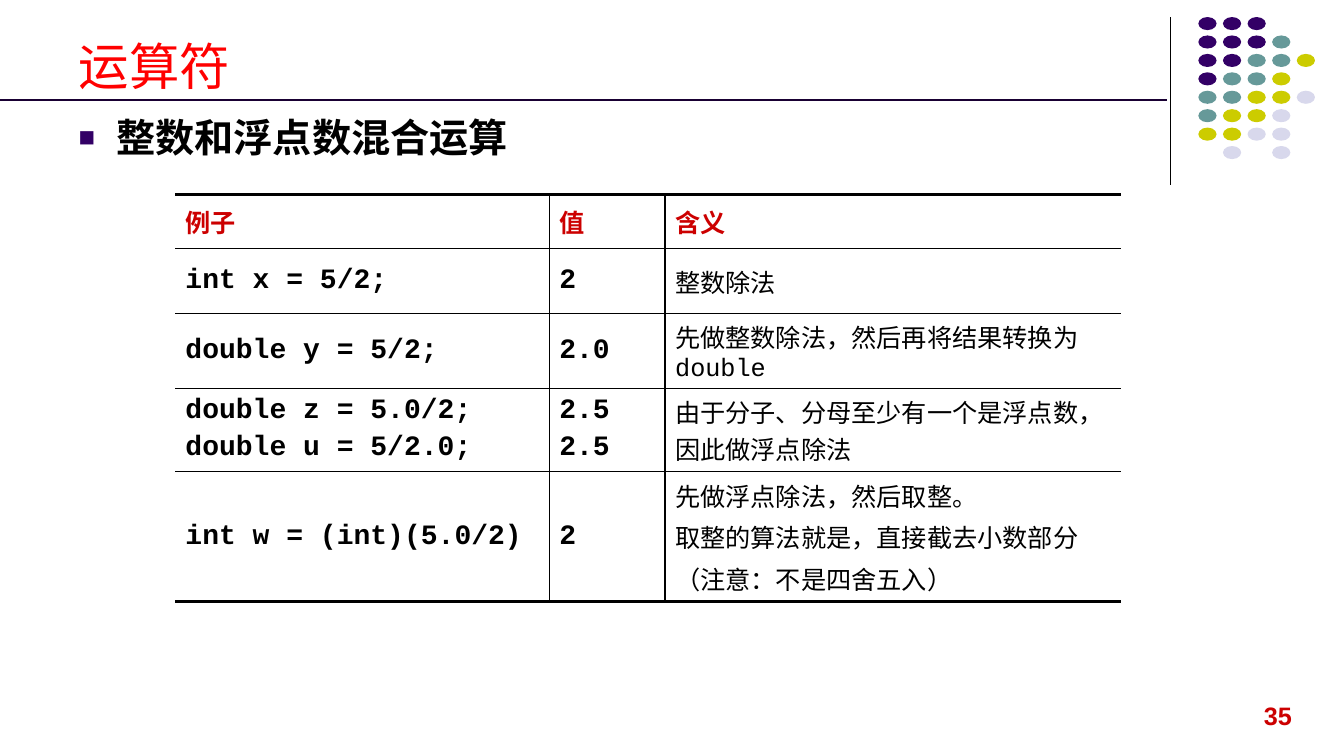
from dataclasses import dataclass

from lxml import etree
from pptx import Presentation
from pptx.dml.color import RGBColor
from pptx.enum.shapes import MSO_CONNECTOR as Connector, MSO_SHAPE as Shape
from pptx.enum.text import MSO_ANCHOR as Anchor, MSO_AUTO_SIZE as AutoSize, PP_ALIGN as Align
from pptx.oxml.ns import qn
from pptx.util import Cm, Pt


@dataclass(frozen=True)
class Theme:
    title: str = "FF0000"
    accent: str = "CC0000"
    ink: str = "000000"
    rule: str = "190033"
    purple: str = "330066"
    teal: str = "669999"
    olive: str = "CCCC00"
    lilac: str = "D8D8EC"
    title_size: int = 36
    body_size: int = 28
    code_size: int = 20
    small_size: int = 18
    title_font: str = "Roboto"
    cjk_font: str = "Noto Sans CJK SC"
    code_font: str = "Courier New"
    number_font: str = "Arial"


THEME = Theme()
DOT_ROWS = ("PPP", "PPPT", "PPTTY", "PTTY", "TTYYL", "TYYL", "YYLL", " L L")
DOT_COLOURS = {"P": THEME.purple, "T": THEME.teal, "Y": THEME.olive, "L": THEME.lilac}
COLUMN_WIDTHS = (9.42, 2.92, 11.5)
ROW_HEIGHTS = (1.37, 1.63, 1.88, 2.1, 3.28)
EXAMPLES = (
    ("例子", "值", "含义"),
    ("int x = 5/2;", "2", "整数除法"),
    ("double y = 5/2;", "2.0", "先做整数除法，然后再将结果转换为double"),
    ("double z = 5.0/2;\ndouble u = 5/2.0;", "2.5\n2.5",
     "由于分子、分母至少有一个是浮点数，因此做浮点除法"),
    ("int w = (int)(5.0/2)", "2",
     "先做浮点除法，然后取整。\n取整的算法就是，直接截去小数部分\n（注意：不是四舍五入）"),
)


def place(shape, left, top, width, height):
    shape.left, shape.top = Cm(left), Cm(top)
    shape.width, shape.height = Cm(width), Cm(height)


def write(frame, text, font, size, colour, bold=False):
    frame.text = text
    for index, para in enumerate(frame.paragraphs):
        para.alignment = Align.LEFT
        para.space_before = Pt(0.2 * size if index else 0)
        for span in para.runs:
            span.font.name = font
            span.font.size = Pt(size)
            span.font.bold = bold
            span.font.color.rgb = RGBColor.from_string(colour)
            east_asian = etree.SubElement(span.font._element, qn("a:ea"))
            east_asian.set("typeface", THEME.cjk_font)


def add_bullet(para, indent):
    props = para._p.get_or_add_pPr()
    props.set("marL", str(indent))
    props.set("indent", str(-indent))
    colour = etree.SubElement(props, qn("a:buClr"))
    etree.SubElement(colour, qn("a:srgbClr")).set("val", THEME.purple)
    etree.SubElement(props, qn("a:buSzPct")).set("val", "70000")
    etree.SubElement(props, qn("a:buFont")).set("typeface", THEME.number_font)
    etree.SubElement(props, qn("a:buChar")).set("char", "■")


def add_rule(page, start, end, colour, weight):
    rule = page.shapes.add_connector(Connector.STRAIGHT, *map(Cm, start + end))
    rule.line.color.rgb = RGBColor.from_string(colour)
    rule.line.width = Pt(weight)
    etree.SubElement(rule._element.spPr, qn("a:effectLst"))


def add_dots(page):
    for row, pattern in enumerate(DOT_ROWS):
        for column, key in enumerate(pattern):
            if key == " ":
                continue
            dot = page.shapes.add_shape(
                Shape.OVAL, Cm(30.2 + 0.62 * column), Cm(0.43 + 3.25 / 7 * row),
                Cm(0.46), Cm(0.33))
            dot.shadow.inherit = False
            dot.fill.solid()
            dot.fill.fore_color.rgb = RGBColor.from_string(DOT_COLOURS[key])
            dot.line.fill.background()


def set_borders(cell, **weights):
    props = cell._tc.get_or_add_tcPr()
    for side in "LRTB":
        line = etree.SubElement(props, qn(f"a:ln{side}"))
        weight = weights[side]
        line.set("w", str(Pt(weight)))
        if weight:
            fill = etree.SubElement(line, qn("a:solidFill"))
            etree.SubElement(fill, qn("a:srgbClr")).set("val", THEME.ink)
        else:
            etree.SubElement(line, qn("a:noFill"))


def add_examples(page):
    frame = page.shapes.add_table(
        len(EXAMPLES), len(COLUMN_WIDTHS), Cm(4.42), Cm(4.9),
        Cm(sum(COLUMN_WIDTHS)), Cm(sum(ROW_HEIGHTS)))
    table = frame.table
    table.horz_banding = False
    for column, width in zip(table.columns, COLUMN_WIDTHS):
        column.width = Cm(width)
    last_row, last_column = len(EXAMPLES) - 1, len(COLUMN_WIDTHS) - 1
    for r, texts in enumerate(EXAMPLES):
        table.rows[r].height = Cm(ROW_HEIGHTS[r])
        for c, text in enumerate(texts):
            cell = table.cell(r, c)
            set_borders(cell, L=1 if c else 0, R=1 if c < last_column else 0,
                        T=1 if r else 2.25, B=1 if r < last_row else 2.25)
            cell.fill.background()
            cell.vertical_anchor = Anchor.MIDDLE
            is_header, is_meaning = r == 0, c == last_column
            size = THEME.small_size if is_header or is_meaning else THEME.code_size
            write(cell.text_frame, text, THEME.code_font, size,
                  THEME.accent if is_header else THEME.ink, is_header or not is_meaning)


def add_title(page):
    title = page.shapes.title
    place(title, 1.73, 0.53, 27.94, 2.01)
    frame = title.text_frame
    write(frame, "运算符", THEME.title_font, THEME.title_size, THEME.title)
    frame.vertical_anchor = Anchor.BOTTOM
    frame.auto_size = AutoSize.NONE


def add_body(page):
    body = page.placeholders[1]
    place(body, 1.73, 2.72, 30.48, 2.18)
    frame = body.text_frame
    write(frame, "整数和浮点数混合运算", THEME.cjk_font, THEME.body_size, THEME.ink, True)
    add_bullet(frame.paragraphs[0], Cm(0.95))
    frame.auto_size = AutoSize.NONE


def add_page_number(page):
    box = page.shapes.add_textbox(Cm(31.6), Cm(17.53), Cm(1.3), Cm(1.02))
    box.text_frame.word_wrap = False
    write(box.text_frame, "35", THEME.number_font, THEME.small_size, THEME.accent, True)


def main():
    deck = Presentation()
    deck.slide_width, deck.slide_height = Cm(33.87), Cm(19.05)
    page = deck.slides.add_slide(deck.slide_layouts[1])
    add_rule(page, (29.49, 0.43), (29.49, 4.65), THEME.ink, 0.75)
    add_dots(page)
    add_page_number(page)
    add_title(page)
    add_body(page)
    add_rule(page, (0, 2.51), (29.41, 2.51), THEME.rule, 1.5)
    add_examples(page)
    deck.save("out.pptx")


if __name__ == "__main__":
    main()
